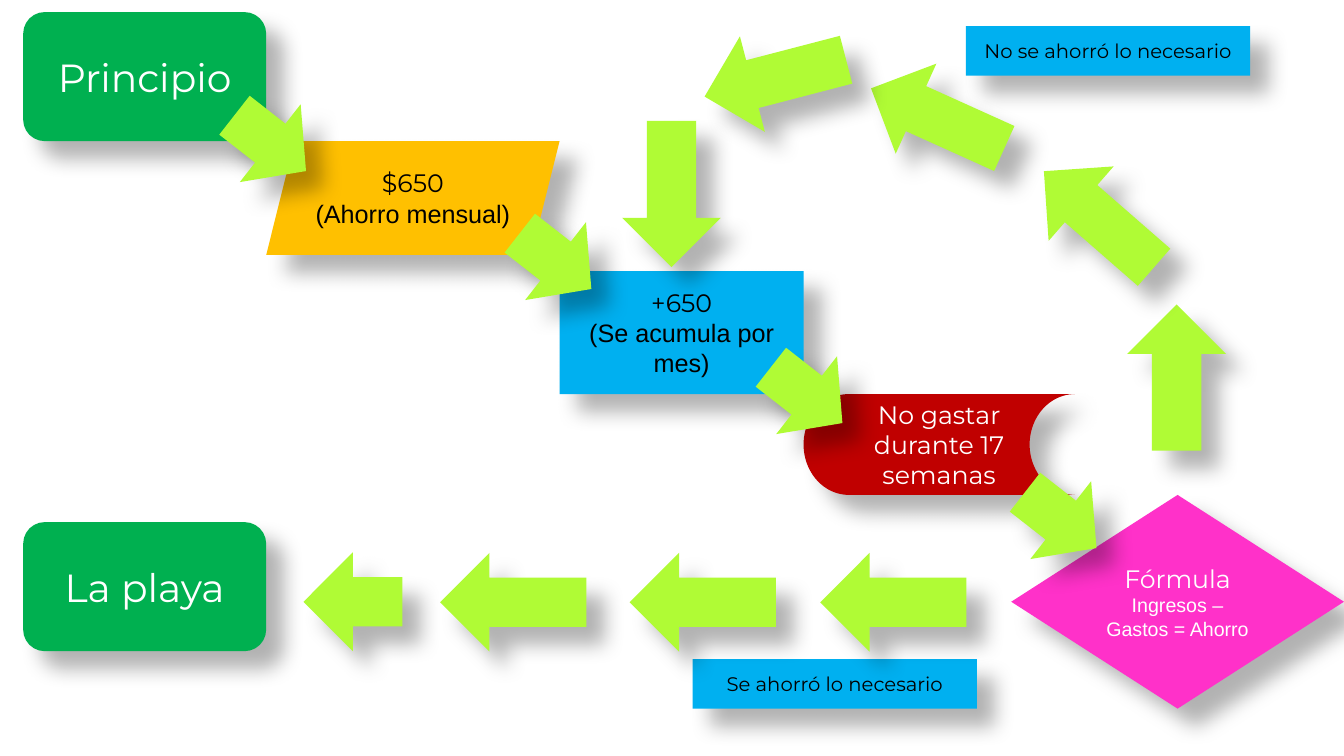
from lxml.etree import SubElement
from pptx import Presentation
from pptx.dml.color import RGBColor
from pptx.enum.shapes import MSO_SHAPE
from pptx.enum.text import MSO_ANCHOR, PP_ALIGN
from pptx.oxml.ns import qn
from pptx.util import Inches, Pt

COLORS = {
    "endpoint": "00B050",
    "saving": "FFC000",
    "process": "00B0F0",
    "condition": "C00000",
    "decision": "FF31C9",
    "arrow": "B0FB35",
    "shadow": "000000",
    "dark": "000000",
    "light": "FFFFFF",
}
HEADING, BODY = "Montserrat", "Arial"
ARROW_WIDTH, LONG, SHORT, SQUARE = 0.98, 1.45, 0.9, 0.98

# outline, fill, text colour, (left, top, width, height), [(text, size, font)]
STEPS = [
    (MSO_SHAPE.ROUNDED_RECTANGLE, "endpoint", "light", (0.23, 0.12, 2.41, 1.28),
     [("Principio", 28, HEADING)]),
    (MSO_SHAPE.PARALLELOGRAM, "saving", "dark", (2.64, 1.4, 2.91, 1.13),
     [("$650", 18, HEADING), ("(Ahorro mensual)", 18, BODY)]),
    (MSO_SHAPE.RECTANGLE, "process", "dark", (5.55, 2.69, 2.42, 1.22),
     [("+650", 18, HEADING), ("(Se acumula por mes)", 18, BODY)]),
    (MSO_SHAPE.FLOWCHART_STORED_DATA, "condition", "light", (7.97, 3.91, 2.69, 1),
     [("No gastar durante 17 semanas", 18, HEADING)]),
    (MSO_SHAPE.FLOWCHART_DECISION, "decision", "light", (10.03, 4.91, 3.3, 2.12),
     [("Fórmula", 18, HEADING), ("Ingresos – Gastos = Ahorro", 14, BODY)]),
    (MSO_SHAPE.ROUNDED_RECTANGLE, "endpoint", "light", (0.23, 5.18, 2.41, 1.28),
     [("La playa", 28, HEADING)]),
    (MSO_SHAPE.RECTANGLE, "process", "dark", (6.87, 6.54, 2.82, 0.49),
     [("Se ahorró lo necesario", 14, HEADING)]),
    (MSO_SHAPE.RECTANGLE, "process", "dark", (9.58, 0.26, 2.82, 0.49),
     [("No se ahorró lo necesario", 14, HEADING)]),
]

# left, top, length, rotation of an arrow that points up
RETURN_LOOP = [
    (11.18, 3.02, LONG, 0),
    (10.41, 1.45, LONG, 311.1),
    (8.81, 0.45, LONG, 294.3),
    (7.2, 0.05, LONG, 255.4),
    (6.17, 1.2, LONG, 180),
]
WAY_TO_BEACH = [(left, 5.25, LONG, 270) for left in (8.37, 6.48, 4.6)]
WAY_TO_BEACH.append((3.01, 5.48, SQUARE, 270))
DESCENT = [(left, top, SHORT, 128) for left, top in
           ((5.02, 2.14), (2.19, 0.97), (7.51, 3.47), (10.03, 4.71))]


def rgb(color):
    return RGBColor.from_string(COLORS[color])


def add_soft_shadow(shape):
    shape.shadow.inherit = False
    effects = shape._element.spPr.find(qn("a:effectLst"))
    shadow = SubElement(effects, qn("a:outerShdw"), {
        "blurRad": str(Pt(15)), "dist": str(Pt(18)), "dir": str(45 * 60000),
        "algn": "tl", "rotWithShape": "0"})
    color = SubElement(shadow, qn("a:srgbClr"), val=COLORS["shadow"])
    SubElement(color, qn("a:alpha"), val="30000")


def add_filled_shape(slide, outline, fill, box):
    shape = slide.shapes.add_shape(outline, *map(Inches, box))
    shape.fill.solid()
    shape.fill.fore_color.rgb = rgb(fill)
    shape.line.fill.background()
    add_soft_shadow(shape)
    return shape


def add_step(slide, outline, fill, text_color, box, lines):
    frame = add_filled_shape(slide, outline, fill, box).text_frame
    frame.word_wrap = True
    frame.vertical_anchor = MSO_ANCHOR.MIDDLE
    for index, (text, size, font) in enumerate(lines):
        paragraph = frame.add_paragraph() if index else frame.paragraphs[0]
        paragraph.alignment = PP_ALIGN.CENTER
        run = paragraph.add_run()
        run.text = text
        for attribute, value in {"size": Pt(size), "name": font}.items():
            setattr(run.font, attribute, value)
        run.font.color.rgb = rgb(text_color)


def add_arrow(slide, left, top, length, rotation):
    arrow = add_filled_shape(slide, MSO_SHAPE.UP_ARROW, "arrow",
                             (left, top, ARROW_WIDTH, length))
    arrow.rotation = rotation


def main():
    presentation = Presentation()
    presentation.slide_width = Inches(13.33)
    presentation.slide_height = Inches(7.5)
    slide = presentation.slides.add_slide(presentation.slide_layouts[6])
    for step in STEPS:
        add_step(slide, *step)
    for arrow in RETURN_LOOP + WAY_TO_BEACH + DESCENT:
        add_arrow(slide, *arrow)
    presentation.save("out.pptx")


if __name__ == "__main__":
    main()
